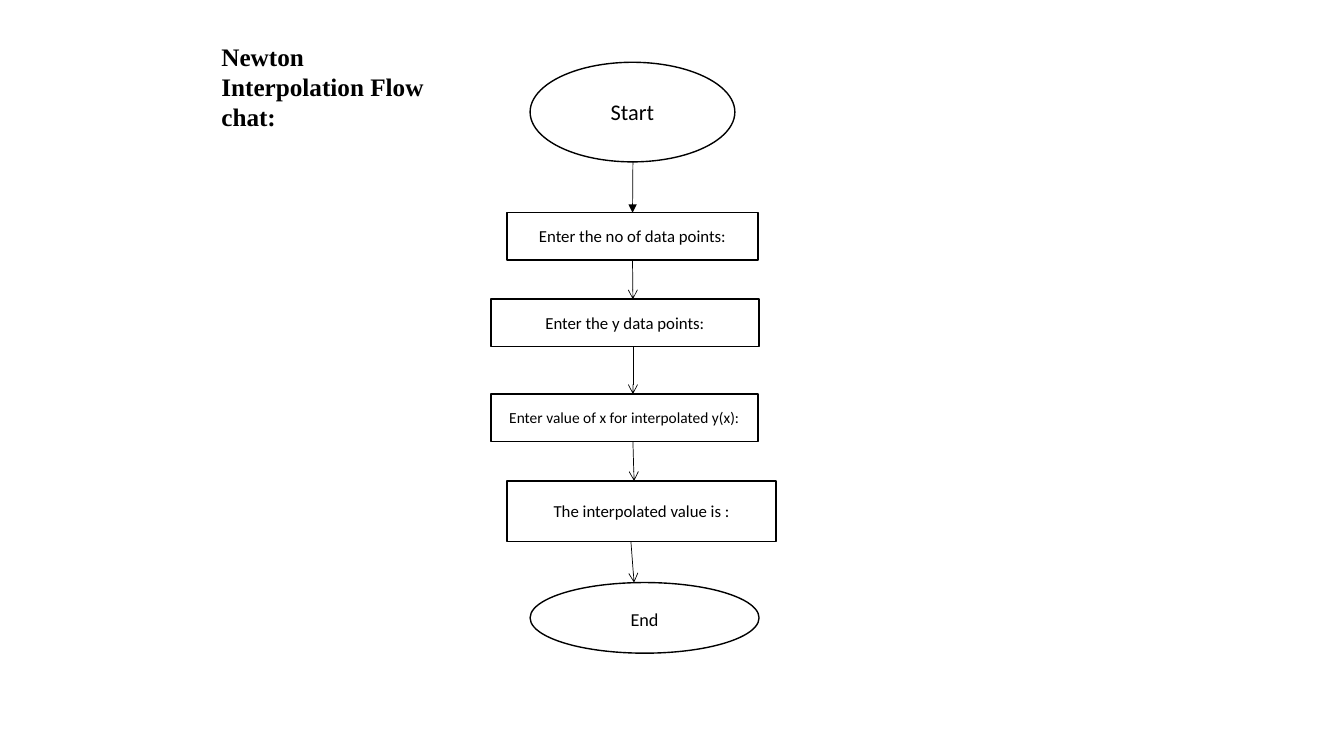
from itertools import pairwise

from lxml import etree
from pptx import Presentation
from pptx import util as u
from pptx.dml.color import RGBColor
from pptx.enum import shapes, text
from pptx.oxml.ns import qn

OVAL = shapes.MSO_SHAPE.OVAL
BOX = shapes.MSO_SHAPE.RECTANGLE
TOP, BOTTOM = 0, 2

STEPS = [
    (OVAL, "Start", 16, 0.99, 0, 5.16, 2.51),
    (BOX, "Enter the no of data points:", 12, 0.41, 3.79, 6.32, 1.19),
    (BOX, "Enter the y data points:", 12, 0, 5.97, 6.76, 1.19),
    (BOX, "Enter value of x for interpolated y(x):", 11, 0, 8.36, 6.73, 1.19),
    (BOX, "The interpolated value is :", 12, 0.41, 10.55, 6.78, 1.52),
    (OVAL, "End", 13, 0.99, 13.11, 5.77, 1.78),
]
ARROWS = [
    (3.58, 3.57, "triangle"),
    (3.57, 3.58, "arrow"),
    (3.58, 3.58, "arrow"),
    (3.58, 3.61, "arrow"),
    (3.53, 3.61, "arrow"),
]


def color(value):
    return RGBColor.from_string(value)


def style_text(paragraph, font_name, size, bold=False):
    for run in paragraph.runs:
        run.font.name = font_name
        run.font.size = u.Pt(size)
        run.font.bold = bold
        run.font.color.rgb = color("000000")


def add_step(slide, kind, label, size, left, top, width, height):
    step = slide.shapes.add_shape(
        kind, u.Cm(left), u.Cm(top), u.Cm(width), u.Cm(height))
    step.shadow.inherit = False
    step.fill.solid()
    step.fill.fore_color.rgb = color("FFFFFF")
    step.line.color.rgb = color("000000")
    step.line.width = u.Pt(1)
    frame = step.text_frame
    frame.text = label
    frame.word_wrap = True
    frame.vertical_anchor = text.MSO_ANCHOR.MIDDLE
    frame.paragraphs[0].alignment = text.PP_ALIGN.CENTER
    style_text(frame.paragraphs[0], "Calibri", size)
    return step


def add_arrow(slide, upper, lower, start_x, end_x, head):
    arrow = slide.shapes.add_connector(
        shapes.MSO_CONNECTOR.STRAIGHT,
        start_x, upper.top + upper.height, end_x, lower.top)
    for step, x, side, connect in (
            (upper, start_x, BOTTOM, arrow.begin_connect),
            (lower, end_x, TOP, arrow.end_connect)):
        off_center = abs(step.left + step.width // 2 - x)
        if step.auto_shape_type == BOX and off_center < u.Cm(0.05):
            connect(step, side)
    arrow.line.color.rgb = color("000000")
    arrow.line.width = u.Pt(0.5)
    etree.SubElement(arrow.line._get_or_add_ln(), qn("a:tailEnd"), type=head)
    etree.SubElement(arrow._element.spPr, qn("a:effectLst"))


def add_flowchart(slide, left, top):
    steps = [
        add_step(slide, kind, label, size, left + x, top + y, width, height)
        for kind, label, size, x, y, width, height in STEPS
    ]
    steps[-1].text_frame.paragraphs[0].line_spacing = 1.15
    steps[-1].text_frame.paragraphs[0].space_after = u.Pt(10)
    for (upper, lower), (start_x, end_x, head) in zip(pairwise(steps), ARROWS):
        add_arrow(slide, upper, lower,
                  u.Cm(left + start_x), u.Cm(left + end_x), head)


def add_heading(slide, left, top, width, height):
    heading = slide.shapes.add_textbox(
        u.Cm(left), u.Cm(top), u.Cm(width), u.Cm(height))
    frame = heading.text_frame
    frame.word_wrap = True
    frame.auto_size = text.MSO_AUTO_SIZE.SHAPE_TO_FIT_TEXT
    frame.text = "Newton Interpolation Flow chat:"
    style_text(frame.paragraphs[0], "Times New Roman", 18, bold=True)


def main():
    deck = Presentation()
    deck.slide_width = u.Cm(33.87)
    deck.slide_height = u.Cm(19.05)
    slide = deck.slides.add_slide(deck.slide_layouts[6])
    add_flowchart(slide, 12.37, 1.57)
    add_heading(slide, 5.33, 0.91, 6.15, 2.57)
    deck.save("out.pptx")


if __name__ == "__main__":
    main()
